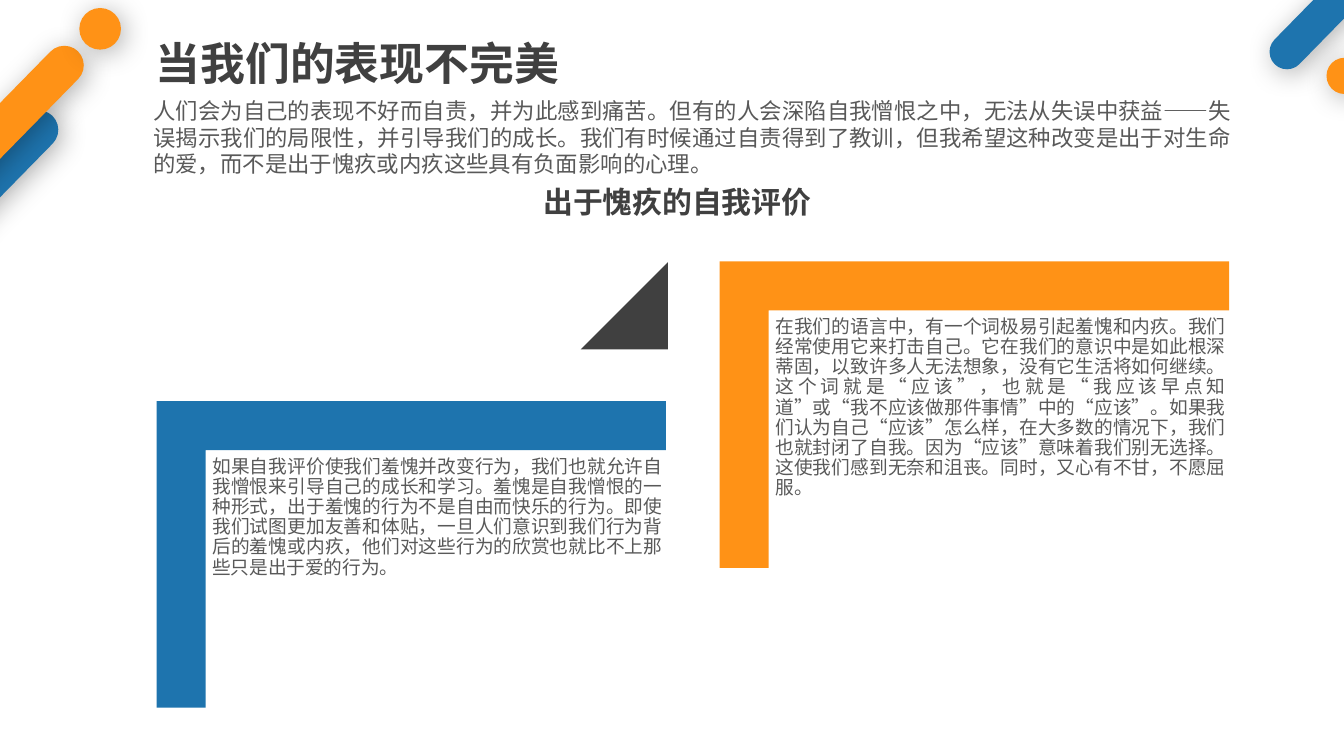
from lxml import etree
from pptx import Presentation
from pptx import util as u
from pptx.dml import color
from pptx.enum import shapes, text
from pptx.oxml import ns

HUES = {"blue": "1E74AE", "gold": "FF9216", "dark": "404040", "grey": "595959"}
KIND = shapes.MSO_SHAPE
SANS = "Noto Sans CJK SC"

deck = Presentation()
deck.slide_width, deck.slide_height = u.Inches(10), u.Inches(10 * 9 / 16)
slide = deck.slides.add_slide(deck.slide_layouts[6])


def draw(kind, box, hue, turn=0, adj=(), glow=False):
    """Add a filled shape without outline; glow gives it a soft drop shadow."""
    form = slide.shapes.add_shape(kind, *map(u.Inches, box))
    form.rotation = turn
    for i, val in enumerate(adj):
        form.adjustments[i] = val
    form.fill.solid()
    form.fill.fore_color.rgb = color.RGBColor.from_string(HUES[hue])
    form.line.fill.background()
    form.shadow.inherit = False
    if glow:
        list_ = form.element.spPr.find(ns.qn("a:effectLst"))
        cast = etree.SubElement(list_, ns.qn("a:outerShdw"), blurRad=str(u.Pt(15)),
                                dist=str(u.Pt(3)), dir="2700000", algn="tl",
                                rotWithShape="0")
        tint = etree.SubElement(cast, ns.qn("a:srgbClr"), val="000000")
        etree.SubElement(tint, ns.qn("a:alpha"), val="30000")


def write(words, box, hue, font, frame, para):
    """Add a wrapped text box; font, frame and para hold format values."""
    body = slide.shapes.add_textbox(*map(u.Inches, box)).text_frame
    body.word_wrap = True
    line = body.paragraphs[0]
    run = line.add_run()
    run.text = words
    for part, vals in ((body, frame), (line, para), (run.font, font)):
        for key, val in vals.items():
            setattr(part, key, val)
    run.font.color.rgb = color.RGBColor.from_string(HUES[hue])
    if font["name"] == SANS:
        etree.SubElement(run.font._element, ns.qn("a:ea"), typeface=SANS)


# Corner bars and dots
for kind, box, hue in (
    (KIND.ROUNDED_RECTANGLE, (-0.35, 0.62, 0.29, 1.7), "blue"),
    (KIND.ROUNDED_RECTANGLE, (10.02, -1.15, 0.26, 1.9), "blue"),
    (KIND.OVAL, (9.87, 0.43, 0.27, 0.27), "gold"),
    (KIND.ROUNDED_RECTANGLE, (-0.16, 0.14, 0.29, 1.7), "gold"),
    (KIND.OVAL, (0.59, 0.06, 0.31, 0.31), "gold"),
):
    bar = kind == KIND.ROUNDED_RECTANGLE
    draw(kind, box, hue, 44.4 if bar else 0, (0.5,) if bar else (), True)

# Two stepped cards, each an L-shaped frame around its text
sides = [f"margin_{side}" for side in ("left", "top", "right", "bottom")]
thin = dict.fromkeys(sides, u.Inches(0.04))
fit = {"auto_size": text.MSO_AUTO_SIZE.SHAPE_TO_FIT_TEXT}
bare = {**fit, **dict.fromkeys(sides, 0)}
just = {"alignment": text.PP_ALIGN.JUSTIFY}
cards = (
    ("blue", "如果自我评价使我们羞愧并改变行为，我们也就允许自我憎恨来引导自己的成长和学习。"
     "羞愧是自我憎恨的一种形式，出于羞愧的行为不是自由而快乐的行为。"
     "即使我们试图更加友善和体贴，一旦人们意识到我们行为背后的羞愧或内疚，"
     "他们对这些行为的欣赏也就比不上那些只是出于爱的行为。"),
    ("gold", "在我们的语言中，有一个词极易引起羞愧和内疚。我们经常使用它来打击自己。"
     "它在我们的意识中是如此根深蒂固，以致许多人无法想象，没有它生活将如何继续。"
     "这个词就是“应该”，也就是“我应该早点知道”或“我不应该做那件事情”中的“应该”。"
     "如果我们认为自己“应该”怎么样，在大多数的情况下，我们也就封闭了自我。"
     "因为“应该”意味着我们别无选择。这使我们感到无奈和沮丧。同时，又心有不甘，不愿屈服。"),
)
for i, (hue, words) in enumerate(cards):
    dx, dy = 4.19 * i, -1.04 * i
    draw(KIND.CORNER, (1.92 + dx, 2.23 + dy, 2.28, 3.79), hue, 90, (0.16, 0.16))
    write(words, (1.54 + dx, 3.36 + dy, 3.43, 3), "grey",
          {"size": u.Pt(10), "name": SANS}, thin, {**just, "line_spacing": 0.9})
    if i == 0:
        draw(KIND.ISOSCELES_TRIANGLE, (4.32, 1.95, 0.65, 0.65), "dark", adj=(1,))

# Headings and lead text
write("当我们的表现不完美", (1.06, 0.22, 5.91, 0.5), "dark",
      {"size": u.Pt(24), "name": SANS, "bold": True}, fit, {})
write("人们会为自己的表现不好而自责，并为此感到痛苦。但有的人会深陷自我憎恨之中，"
      "无法从失误中获益——失误揭示我们的局限性，并引导我们的成长。"
      "我们有时候通过自责得到了教训，但我希望这种改变是出于对生命的爱，"
      "而不是出于愧疚或内疚这些具有负面影响的心理。",
      (1.14, 0.72, 8.03, 0.61), "grey",
      {"size": u.Pt(12), "name": "Calibri"}, bare, just)
write("出于愧疚的自我评价", (3.03, 1.37, 4.02, 0.27), "dark",
      {"size": u.Pt(16), "name": "Calibri", "bold": True}, bare,
      {"alignment": text.PP_ALIGN.CENTER})

deck.save("out.pptx")
